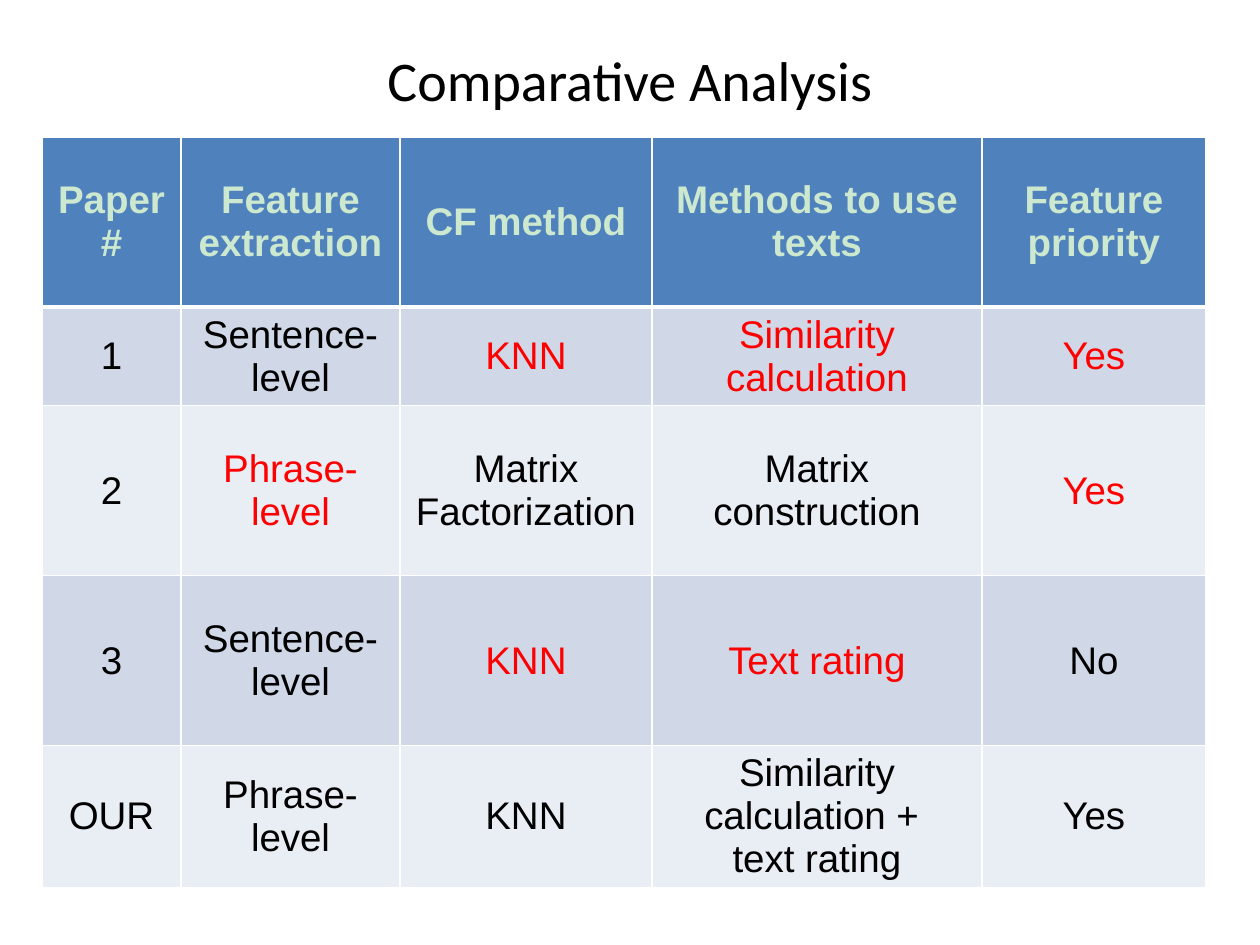
from lxml import etree
from pptx import Presentation
from pptx.dml.color import RGBColor
from pptx.enum.text import MSO_ANCHOR, PP_ALIGN
from pptx.oxml.ns import qn
from pptx.util import Emu, Pt

PIXEL = 914400 // 126
MIDDLE = MSO_ANCHOR.MIDDLE
CENTER = PP_ALIGN.CENTER
TITLE_ONLY = 5

BLACK = RGBColor(0x00, 0x00, 0x00)
WHITE = RGBColor(0xFF, 0xFF, 0xFF)
RED = RGBColor(0xFF, 0x00, 0x00)
PALE_GREEN = RGBColor(0xCC, 0xE8, 0xCF)
HEADER_BLUE = RGBColor(0x4F, 0x81, 0xBD)
BANDS = (RGBColor(0xD0, 0xD8, 0xE8), RGBColor(0xE9, 0xED, 0xF4))

TITLE_FONT = {"name": "Calibri", "size": Pt(32), "bold": False}
HEADER_FONT = {"name": "Arial", "size": Pt(22), "bold": True}
BODY_FONT = {"name": "Arial", "size": Pt(22), "bold": False}

COLUMN_WIDTHS = (139, 219, 252, 330, 224)
ROW_HEIGHTS = (170, 98, 170, 170, 141)
PAPERS = (
    ("Paper #", "Feature extraction", "CF method", "Methods to use texts", "Feature priority"),
    ("1", "Sentence-level", "KNN", "Similarity calculation", "Yes"),
    ("2", "Phrase-level", "Matrix Factorization", "Matrix construction", "Yes"),
    ("3", "Sentence-level", "KNN", "Text rating", "No"),
    ("OUR", "Phrase-level", "KNN", "Similarity calculation + \ntext rating", "Yes"),
)
# Features that our approach takes over, as (row, column)
ADOPTED = {(1, 2), (1, 3), (1, 4), (2, 1), (2, 4), (3, 2), (3, 3)}


def px(pixels):
    """Turn whole pixels into EMU."""
    return Emu(pixels * PIXEL)


def write(frame, wording, font_format, color):
    """Put centred, formatted text into a text frame."""
    frame.text = wording
    for paragraph in frame.paragraphs:
        paragraph.alignment = CENTER
        for run in paragraph.runs:
            for key, value in font_format.items():
                setattr(run.font, key, value)
            run.font.color.rgb = color


def set_borders(cell, bottom_width):
    """Draw the white rules around a cell, ahead of its fill."""
    properties = cell._tc.get_or_add_tcPr()
    widths = {"a:lnL": 1, "a:lnR": 1, "a:lnT": 1, "a:lnB": bottom_width}
    for position, (tag, width) in enumerate(widths.items()):
        rule = etree.Element(qn(tag), w=str(Pt(width)))
        fill = etree.SubElement(rule, qn("a:solidFill"))
        etree.SubElement(fill, qn("a:srgbClr"), val=str(WHITE))
        properties.insert(position, rule)


def add_title(slide, wording):
    """Place and fill the title placeholder."""
    title = slide.shapes.title
    place = {"left": px(63), "top": px(38), "width": px(1134), "height": px(83)}
    for key, value in place.items():
        setattr(title, key, value)
    title.text_frame.vertical_anchor = MIDDLE
    write(title.text_frame, wording, TITLE_FONT, BLACK)


def fill_cell(cell, row, column, wording):
    """Style one cell by its place in the table."""
    is_header = row == 0
    cell.vertical_anchor = MIDDLE
    cell.fill.solid()
    cell.fill.fore_color.rgb = HEADER_BLUE if is_header else BANDS[(row - 1) % 2]
    set_borders(cell, 3 if is_header else 1)
    if is_header:
        write(cell.text_frame, wording, HEADER_FONT, PALE_GREEN)
    else:
        color = RED if (row, column) in ADOPTED else BLACK
        write(cell.text_frame, wording, BODY_FONT, color)


def add_comparison(slide):
    """Add the table that compares the papers."""
    comparison = slide.shapes.add_table(
        len(ROW_HEIGHTS), len(COLUMN_WIDTHS), px(42), px(137),
        px(sum(COLUMN_WIDTHS)), px(sum(ROW_HEIGHTS))).table
    for column, width in zip(comparison.columns, COLUMN_WIDTHS):
        column.width = px(width)
    for row, height in zip(comparison.rows, ROW_HEIGHTS):
        row.height = px(height)
    for row, paper in enumerate(PAPERS):
        for column, wording in enumerate(paper):
            fill_cell(comparison.cell(row, column), row, column, wording)


def main():
    """Build and save the slide."""
    deck = Presentation()
    deck.slide_width, deck.slide_height = px(1260), px(945)
    slide = deck.slides.add_slide(deck.slide_layouts[TITLE_ONLY])
    add_title(slide, "Comparative Analysis")
    add_comparison(slide)
    deck.save("out.pptx")


main()
